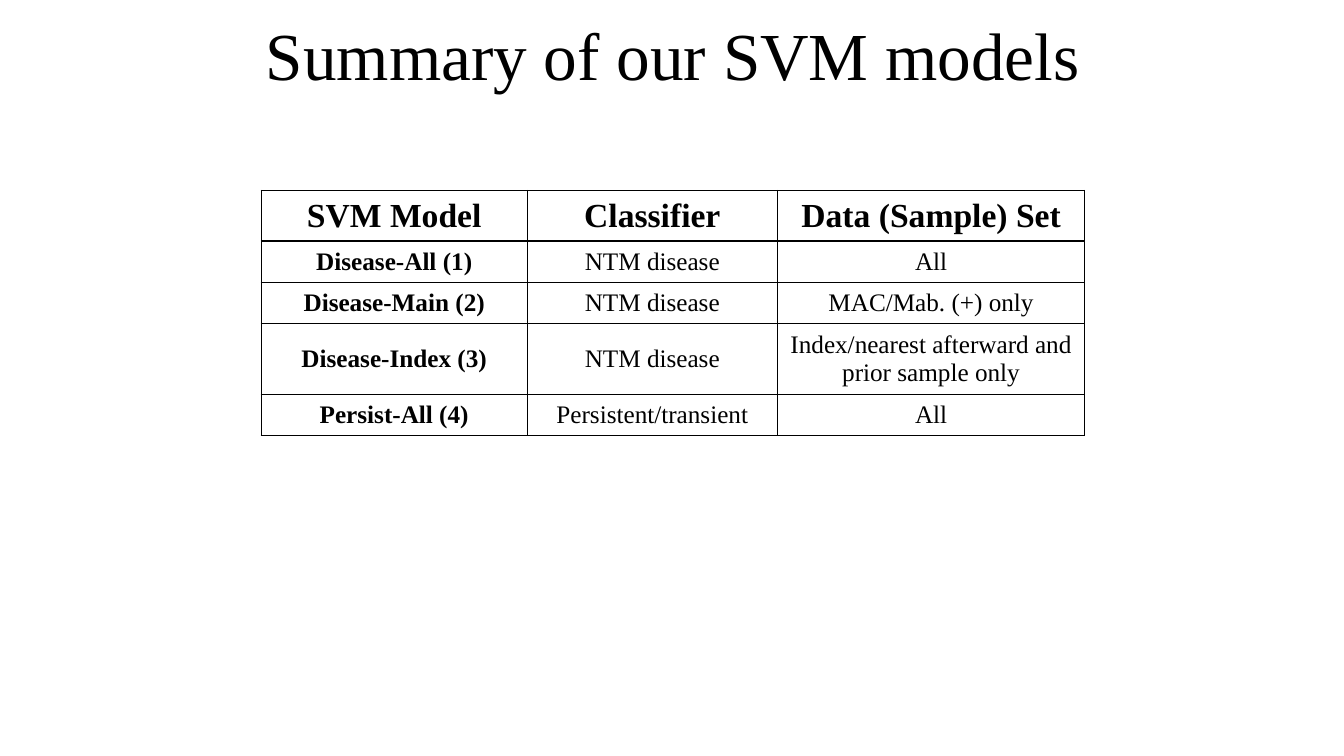
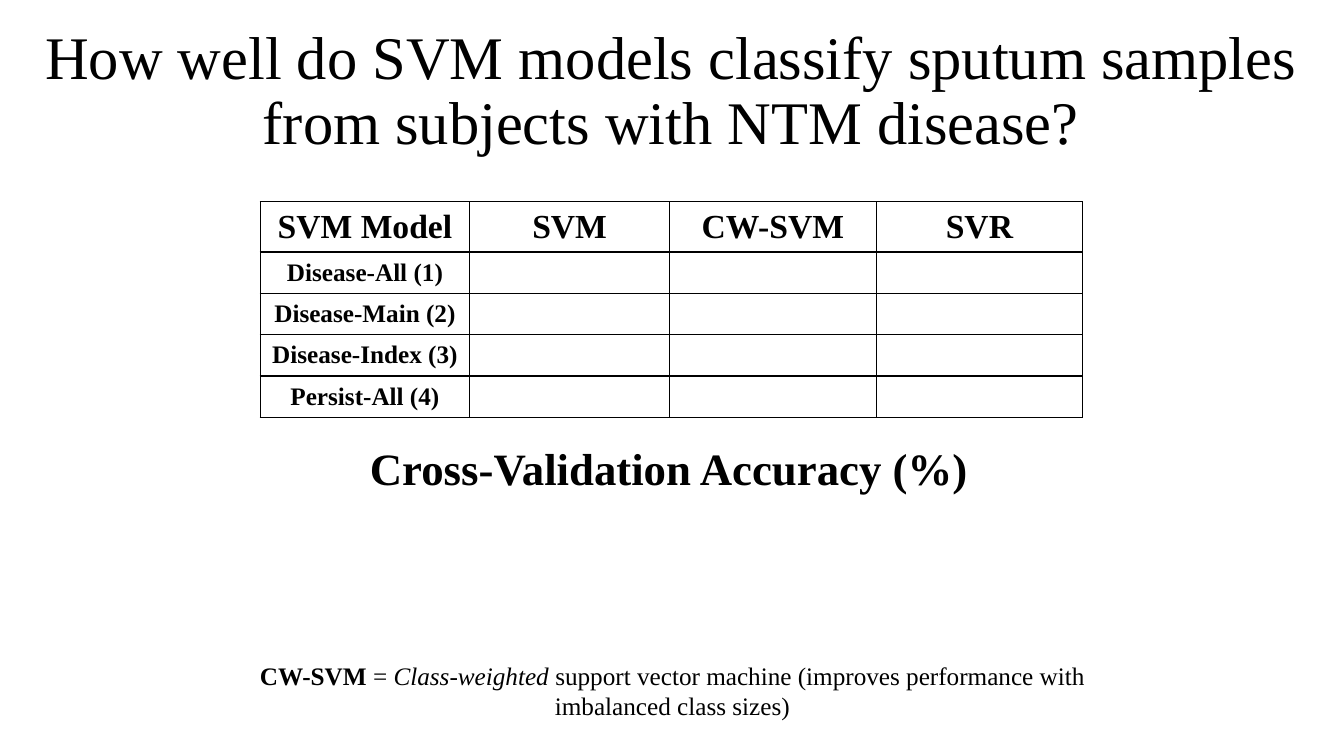
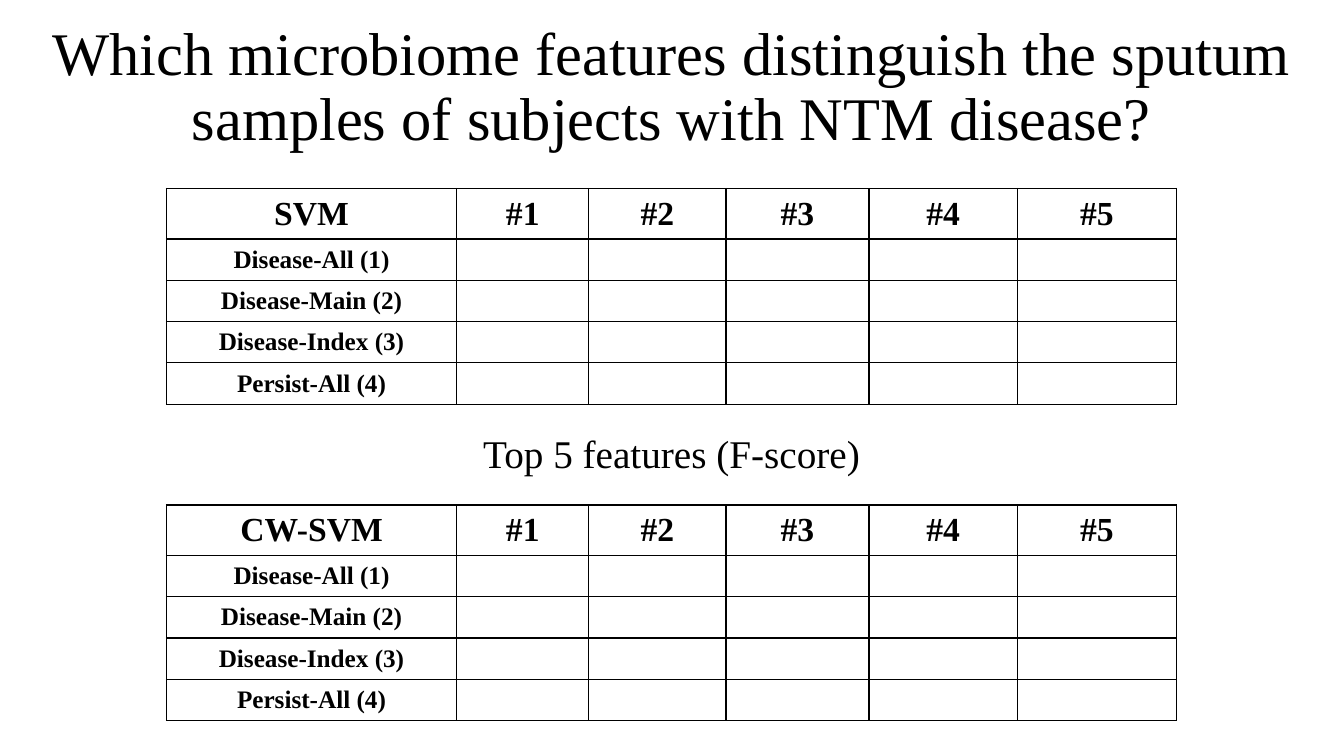
from lxml import etree
from pptx import Presentation
from pptx.dml.color import RGBColor
from pptx.enum.text import MSO_ANCHOR, MSO_AUTO_SIZE, PP_ALIGN
from pptx.oxml.ns import qn
from pptx.util import Inches, Pt

CENTER, LEFT = PP_ALIGN.CENTER, PP_ALIGN.LEFT
MIDDLE, TOP = MSO_ANCHOR.MIDDLE, MSO_ANCHOR.TOP
GROW = MSO_AUTO_SIZE.SHAPE_TO_FIT_TEXT
BLANK = 6

COLORS = {"ink": "000000", "paper": "FFFFFF"}
FONT = "Times New Roman"
TITLE_SIZE, LONG_TITLE_SIZE = 48, 43.2
HEADER_SIZE, BODY_SIZE = 24, 18
TITLE_HEIGHT, ROW_HEIGHT = 1.16, 0.41
BORDER = Pt(1)

MODELS = ["Disease-All (1)", "Disease-Main (2)", "Disease-Index (3)", "Persist-All (4)"]
RANKS = [f"#{rank}" for rank in range(1, 6)]
RANK_COLUMNS = [2.88, 1.31, 1.36, 1.42, 1.47, 1.58]


def style(paragraph, size, bold=False, align=CENTER):
    paragraph.alignment = align
    font = paragraph.font
    font.name, font.size, font.bold = FONT, Pt(size), bold
    font.color.rgb = RGBColor.from_string(COLORS["ink"])


def add_text(slide, box, runs, size, bold=False, align=CENTER, anchor=TOP, wrap=True):
    """Put one paragraph in the box; runs are (text, bold, italic)."""
    frame = slide.shapes.add_textbox(*map(Inches, box)).text_frame
    frame.word_wrap = wrap
    frame.vertical_anchor = anchor
    paragraph = frame.paragraphs[0]
    style(paragraph, size, bold, align)
    for text, run_bold, italic in runs:
        run = paragraph.add_run()
        run.text = text
        run.font.bold, run.font.italic = run_bold, italic
    return frame


def add_title(slide, left, top, width, text, size):
    frame = add_text(slide, (left, top, width, TITLE_HEIGHT), [(text, None, None)],
                     size, anchor=MIDDLE)
    frame.paragraphs[0].line_spacing = 0.9


def add_caption(slide, box, text, size, bold=False, align=CENTER):
    frame = add_text(slide, box, [(text, None, None)], size, bold, align, wrap=False)
    frame.auto_size = GROW


def outline(cell):
    """Draw all four borders; they go before the fill in the cell properties."""
    properties = cell._tc.get_or_add_tcPr()
    for place, side in enumerate(("a:lnL", "a:lnR", "a:lnT", "a:lnB")):
        line = etree.Element(qn(side), w=str(BORDER))
        fill = etree.SubElement(line, qn("a:solidFill"))
        etree.SubElement(fill, qn("a:srgbClr"), val=COLORS["ink"])
        properties.insert(place, line)


def add_model_table(slide, left, top, columns, header, details=None, header_height=0.5):
    """One header row, then one row per model; details fill the other columns."""
    details = details or [[""] * (len(columns) - 1)] * len(MODELS)
    rows = [header] + [[model, *row] for model, row in zip(MODELS, details)]
    heights = [header_height] + [ROW_HEIGHT] * len(MODELS)
    box = (left, top, sum(columns), sum(heights))
    table = slide.shapes.add_table(len(rows), len(columns), *map(Inches, box)).table
    table.first_row = table.horz_banding = False
    for column, width in zip(table.columns, columns):
        column.width = Inches(width)
    for r, (row, height) in enumerate(zip(rows, heights)):
        table.rows[r].height = Inches(height)
        for c, text in enumerate(row):
            cell = table.cell(r, c)
            cell.text = text
            cell.vertical_anchor = MIDDLE
            cell.fill.solid()
            cell.fill.fore_color.rgb = RGBColor.from_string(COLORS["paper"])
            outline(cell)
            style(cell.text_frame.paragraphs[0], BODY_SIZE if r else HEADER_SIZE,
                  bold=r == 0 or c == 0)


def summary_slide(slide):
    add_title(slide, 0.89, 0, 11.57, "Summary of our SVM models", TITLE_SIZE)
    add_model_table(
        slide, 2.59, 1.89, [2.64, 2.48, 3.05],
        ["SVM Model", "Classifier", "Data (Sample) Set"],
        [["NTM disease", "All"],
         ["NTM disease", "MAC/Mab. (+) only"],
         ["NTM disease", "Index/nearest afterward and prior sample only"],
         ["Persistent/transient", "All"]],
        header_height=0.47)


def accuracy_slide(slide):
    add_title(slide, 0.21, 0.34, 12.89,
              "How well do SVM models classify sputum samples from subjects with NTM disease?",
              LONG_TITLE_SIZE)
    # Definition of the class-weighted model
    add_text(slide, (2.19, 6.5, 8.96, 0.71),
             [("CW-SVM ", True, None), ("= ", None, None), ("Class-weighted", None, True),
              (" support vector machine (improves performance with imbalanced class sizes)",
               None, None)],
             BODY_SIZE)
    add_model_table(slide, 2.58, 2, [2.08, 1.98, 2.05, 2.05],
                    ["SVM Model", "SVM", "CW-SVM", "SVR"])
    add_caption(slide, (3.57, 4.32, 6.19, 0.64), "Cross-Validation Accuracy (%)", 32,
                bold=True, align=LEFT)


def features_slide(slide):
    add_title(slide, 0.37, 0.3, 12.58,
              "Which microbiome features distinguish the sputum samples of subjects with NTM disease?",
              LONG_TITLE_SIZE)
    # One ranking table per method, the caption between them
    for method, top, header_height in (("SVM", 1.87, 0.47), ("CW-SVM", 5.01, 0.5)):
        add_model_table(slide, 1.65, top, RANK_COLUMNS, [method, *RANKS],
                        header_height=header_height)
    add_caption(slide, (4.67, 4.21, 3.98, 0.57), "Top 5 features (F-score)", 28)


deck = Presentation()
deck.slide_width, deck.slide_height = Inches(13.33), Inches(7.5)
for build in (summary_slide, accuracy_slide, features_slide):
    build(deck.slides.add_slide(deck.slide_layouts[BLANK]))
deck.save("out.pptx")
